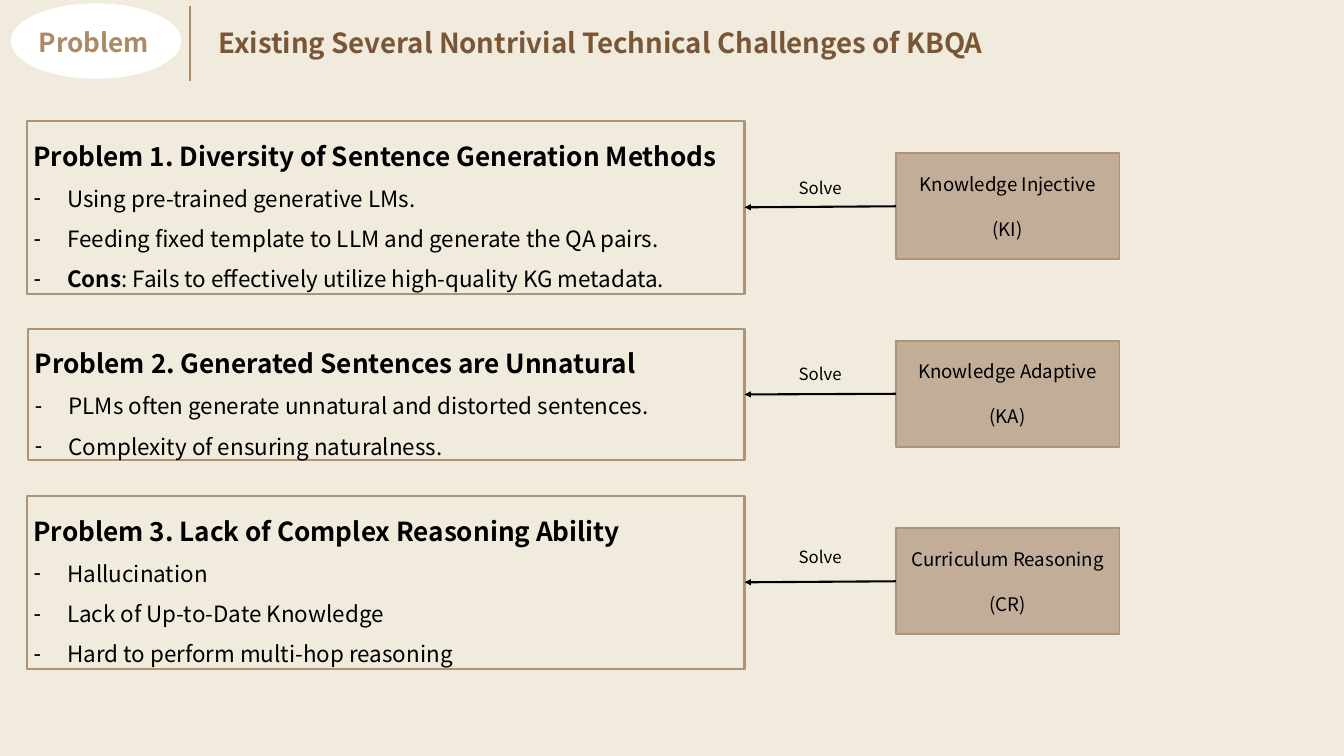
from dataclasses import dataclass

from lxml import etree
from pptx import Presentation
from pptx.dml.color import RGBColor
from pptx.enum.shapes import MSO_CONNECTOR, MSO_SHAPE
from pptx.enum.text import MSO_ANCHOR, MSO_AUTO_SIZE, PP_ALIGN
from pptx.oxml.ns import qn
from pptx.util import Pt

EMU_PER_PX = 9144
FONT = "Noto Sans CJK KR"
COLORS = {
    "background": "F1EBDE",
    "badge": "FFFFFF",
    "accent": "AB8A66",
    "title": "795635",
    "border": "AE9477",
    "solution": "C2AE98",
    "text": "000000",
}
LEFT, CENTER = PP_ALIGN.LEFT, PP_ALIGN.CENTER
TOP, MIDDLE = MSO_ANCHOR.TOP, MSO_ANCHOR.MIDDLE
OVAL, RECTANGLE = MSO_SHAPE.OVAL, MSO_SHAPE.RECTANGLE
STRAIGHT, NO_AUTOFIT = MSO_CONNECTOR.STRAIGHT, MSO_AUTO_SIZE.NONE
COMPARISON_LAYOUT = 4
LEFT_SIDE, RIGHT_SIDE = 1, 3
RIGHT_EDGE = 1108
SOLUTION_LEFT, SOLUTION_TOP, SOLUTION_PITCH = 1333, 228, 279


@dataclass(frozen=True)
class Point:
    text: str
    lead: str = ""


@dataclass(frozen=True)
class Problem:
    heading: str
    points: tuple[Point, ...]
    left: int
    top: int
    height: int
    solution: str
    abbreviation: str
    solve_top: int


PROBLEMS = (
    Problem(
        "Problem 1. Diversity of Sentence Generation Methods",
        (
            Point("Using pre-trained generative LMs."),
            Point("Feeding fixed template to LLM and generate the QA pairs."),
            Point(": Fails to effectively utilize high-quality KG metadata.", lead="Cons"),
        ),
        40, 180, 257, "Knowledge Injective", "(KI)", 259,
    ),
    Problem(
        "Problem 2. Generated Sentences are Unnatural",
        (
            Point("PLMs often generate unnatural and distorted sentences."),
            Point("Complexity of ensuring naturalness."),
        ),
        42, 489, 196, "Knowledge Adaptive", "(KA)", 537,
    ),
    Problem(
        "Problem 3. Lack of Complex Reasoning Ability",
        (
            Point("Hallucination"),
            Point("Lack of Up-to-Date Knowledge"),
            Point("Hard to perform multi-hop reasoning"),
        ),
        40, 738, 257, "Curriculum Reasoning", "(CR)", 809,
    ),
)


def px(length: int) -> int:
    return length * EMU_PER_PX


def rgb(name: str) -> RGBColor:
    return RGBColor.from_string(COLORS[name])


def place(shape, left: int, top: int, width: int, height: int) -> None:
    shape.left, shape.top = px(left), px(top)
    shape.width, shape.height = px(width), px(height)


def prepare_frame(shape, anchor, margins: bool = True):
    frame = shape.text_frame
    frame.word_wrap = True
    frame.auto_size = NO_AUTOFIT
    frame.vertical_anchor = anchor
    if not margins:
        frame.margin_left = frame.margin_right = 0
        frame.margin_top = frame.margin_bottom = 0
    return frame


def write(frame, text: str, *, size: float, color: str = "text", bold: bool = False,
          align=LEFT, spacing=1.0, before: int = 0, bullet: str = "", lead: str = "") -> None:
    first = frame.paragraphs[0]
    paragraph = frame.add_paragraph() if first.runs else first
    properties = paragraph._p.get_or_add_pPr()
    indent = px(50) if bullet else 0
    properties.set("marL", str(indent))
    properties.set("indent", str(-indent))
    if bullet:
        etree.SubElement(properties, qn("a:buChar"), char=bullet)
    else:
        etree.SubElement(properties, qn("a:buNone"))
    paragraph.alignment = align
    paragraph.line_spacing = spacing
    paragraph.space_before = Pt(before)
    paragraph.space_after = Pt(0)
    for content, weight in ((lead, True), (text, bold)):
        if content:
            run = paragraph.add_run()
            run.text = content
            run.font.name = FONT
            run.font.size = Pt(size)
            run.font.bold = weight
            run.font.color.rgb = rgb(color)


def add_block(slide, kind, box: tuple[int, int, int, int], fill: str, border: str = ""):
    block = slide.shapes.add_shape(kind, *map(px, box))
    block.shadow.inherit = False
    block.fill.solid()
    block.fill.fore_color.rgb = rgb(fill)
    if border:
        block.line.color.rgb = rgb(border)
        block.line.width = Pt(2)
    else:
        block.line.fill.background()
    return block


def add_line(slide, ends: tuple[int, int, int, int], color: str, width: float):
    line = slide.shapes.add_connector(STRAIGHT, *map(px, ends))
    line.line.color.rgb = rgb(color)
    line.line.width = Pt(width)
    etree.SubElement(line._element.spPr, qn("a:effectLst"))
    return line


def add_label(slide, text: str, box: tuple[int, int, int, int], margins: bool = True, **style) -> None:
    label = slide.shapes.add_textbox(*map(px, box))
    write(prepare_frame(label, TOP, margins), text, align=CENTER, **style)


def add_header(slide) -> None:
    add_block(slide, OVAL, (16, 5, 254, 112), "badge")
    add_line(slide, (283, 121, 283, 9), "accent", 1.5)
    add_label(slide, "Problem", (37, 32, 205, 52), margins=False,
              size=28, color="accent", bold=True, spacing=Pt(39.3))
    title = slide.shapes.title
    place(title, 325, 30, 1167, 55)
    write(prepare_frame(title, TOP, margins=False),
          "Existing Several Nontrivial Technical Challenges of KBQA",
          size=29.6, color="title", bold=True, spacing=Pt(41.5))


def add_problem(slide, row: int, problem: Problem, panel) -> None:
    place(panel, problem.left, problem.top, RIGHT_EDGE - problem.left, problem.height)
    panel.line.color.rgb = rgb("border")
    panel.line.width = Pt(2.25)
    frame = prepare_frame(panel, TOP)
    write(frame, problem.heading, size=28, bold=True, spacing=1.5)
    for point in problem.points:
        write(frame, point.text, size=24, spacing=1.5, bullet="-", lead=point.lead)

    solution_top = SOLUTION_TOP + row * SOLUTION_PITCH
    solution = add_block(slide, RECTANGLE, (SOLUTION_LEFT, solution_top, 333, 158),
                         "solution", "border")
    frame = prepare_frame(solution, MIDDLE)
    write(frame, problem.solution, size=20, align=CENTER)
    write(frame, problem.abbreviation, size=20, align=CENTER, before=24)

    middle = solution_top + 79
    arrow = add_line(slide, (SOLUTION_LEFT, middle, RIGHT_EDGE, middle), "text", 2.25)
    arrow.begin_connect(solution, LEFT_SIDE)
    arrow.end_connect(panel, RIGHT_SIDE)
    etree.SubElement(arrow.line._get_or_add_ln(), qn("a:tailEnd"), type="triangle")
    add_label(slide, "Solve", (1133, problem.solve_top, 175, 40), size=18)


def main() -> None:
    deck = Presentation()
    deck.slide_width, deck.slide_height = px(2000), px(1125)
    slide = deck.slides.add_slide(deck.slide_layouts[COMPARISON_LAYOUT])
    slide.background.fill.solid()
    slide.background.fill.fore_color.rgb = rgb("background")
    add_header(slide)
    *panels, spare = list(slide.placeholders)[1:]
    for row, (problem, panel) in enumerate(zip(PROBLEMS, panels)):
        add_problem(slide, row, problem, panel)
    spare.element.getparent().remove(spare.element)
    deck.save("out.pptx")


if __name__ == "__main__":
    main()
